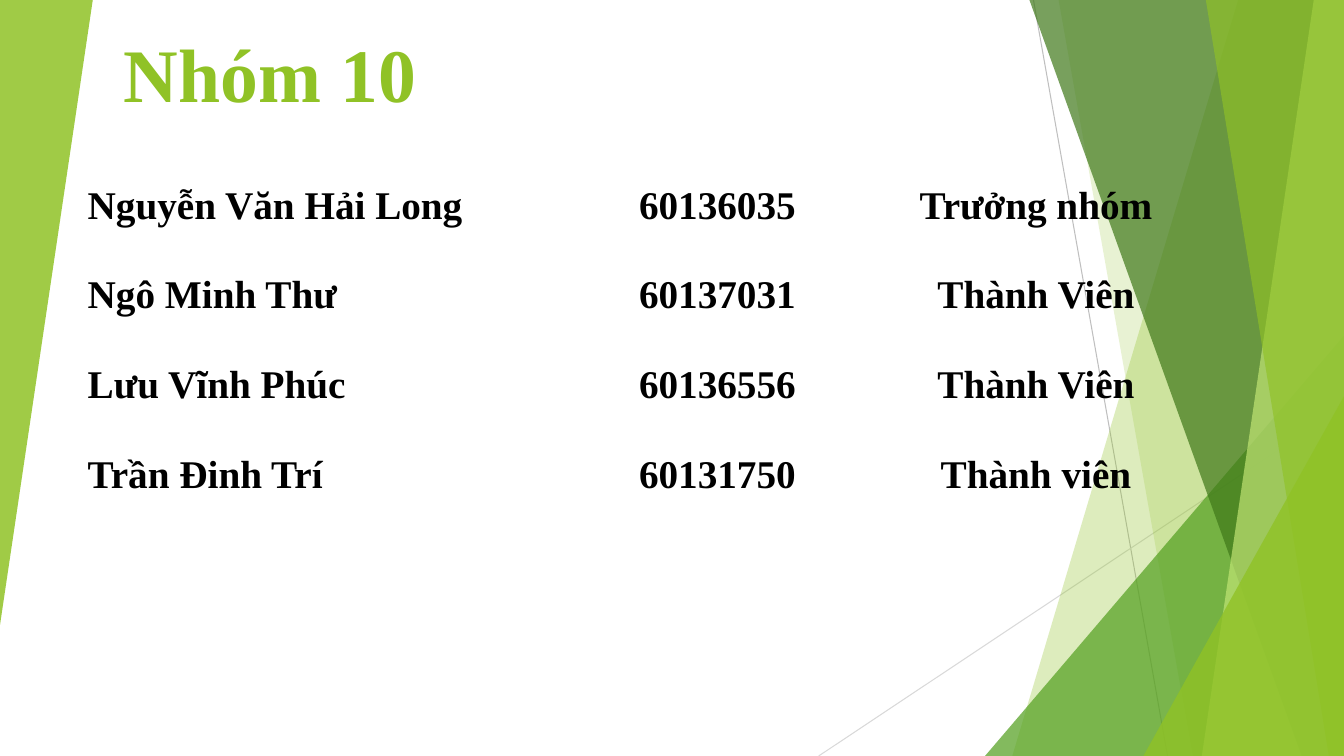
"""Build the group member slide with its green faceted backdrop."""
import dataclasses

import pptx
import pptx.dml.color
import pptx.enum.shapes
import pptx.enum.text
import pptx.oxml
import pptx.oxml.ns
import pptx.util

Inches = pptx.util.Inches
Pt = pptx.util.Pt
RGBColor = pptx.dml.color.RGBColor
ALIGN = pptx.enum.text.PP_ALIGN
ANCHOR = pptx.enum.text.MSO_ANCHOR


@dataclasses.dataclass(frozen=True)
class Theme:
    font: str = "Times New Roman"
    title_size: int = 54
    table_size: int = 28
    lime: str = "90C226"
    green: str = "54A021"
    forest: str = "3F7819"
    pale: str = "C0E474"
    text: str = "000000"
    steep_line: str = "BFBFBF"
    shallow_line: str = "D9D9D9"


def paint(shape, color, opacity):
    shape.shadow.inherit = False
    shape.line.fill.background()
    shape.fill.solid()
    shape.fill.fore_color.rgb = RGBColor.from_string(color)
    swatch = shape.fill._xPr.find(".//" + pptx.oxml.ns.qn("a:srgbClr"))
    alpha = pptx.oxml.parse_xml(f'<a:alpha {pptx.oxml.ns.nsdecls("a")} val="{opacity * 1000}"/>')
    swatch.append(alpha)


def style_text(para, size, color):
    for span in para.runs:
        span.font.name = theme.font
        span.font.size = Pt(size)
        span.font.bold = True
        span.font.color.rgb = RGBColor.from_string(color)


theme = Theme()
width, height = 13.33, 7.5
deck = pptx.Presentation()
deck.slide_width, deck.slide_height = Inches(width), Inches(height)
page = deck.slides.add_slide(deck.slide_layouts[6])

guides = [
    (10.25, 0, 11.58, height, theme.steep_line),
    (width, 4.03, 8.12, height, theme.shallow_line),
]
for x1, y1, x2, y2, color in guides:
    guide = page.shapes.add_connector(
        pptx.enum.shapes.MSO_CONNECTOR.STRAIGHT, Inches(x1), Inches(y1), Inches(x2), Inches(y2))
    guide.line.color.rgb = RGBColor.from_string(color)
    guide.line.width = Pt(0.75)
    guide._element.spPr.append(
        pptx.oxml.parse_xml(f'<a:effectLst {pptx.oxml.ns.nsdecls("a")}/>'))

facets = [
    ("band", (12.28, 10.04), theme.lime, 30),
    ("band", (10.5, 11.83), theme.lime, 20),
    ("triangle", (9.77, 3.33, 3.56, 4.17, 0), theme.green, 72),
    ("band", (10.21, 12.91), theme.forest, 70),
    ("band", (13.03, 11.92), theme.pale, 70),
    ("band", (11.96, 13.18), theme.lime, 65),
    ("triangle", (11.34, 3.93, 1.99, 3.57, 0), theme.lime, 80),
    ("triangle", (0, 0, 0.92, 6.2, 180), theme.lime, 85),
]
for kind, geometry, color, opacity in facets:
    if kind == "band":
        top_x, bottom_x = geometry
        outline = page.shapes.build_freeform(Inches(top_x), 0)
        corners = [(width, 0), (width, height), (bottom_x, height)]
        outline.add_line_segments([(Inches(x), Inches(y)) for x, y in corners], close=True)
        facet = outline.convert_to_shape()
    else:
        *frame, rotation = geometry
        facet = page.shapes.add_shape(
            pptx.enum.shapes.MSO_SHAPE.ISOSCELES_TRIANGLE, *map(Inches, frame))
        facet.adjustments[0] = 1
        facet.rotation = rotation
    paint(facet, color, opacity)

title = page.shapes.add_textbox(Inches(1.13), Inches(0.22), Inches(8.49), Inches(0.96))
title.text_frame.word_wrap = True
title.text_frame.text = "Nhóm 10"
style_text(title.text_frame.paragraphs[0], theme.title_size, theme.lime)

members = [
    ("Nguyễn Văn Hải Long", "60136035", "Trưởng nhóm"),
    ("Ngô Minh Thư", "60137031", "Thành Viên"),
    ("Lưu Vĩnh Phúc", "60136556", "Thành Viên"),
    ("Trần Đinh Trí", "60131750", "Thành viên"),
]
column_widths = [4.64, 3.35, 2.97]
alignments = [ALIGN.JUSTIFY, ALIGN.CENTER, ALIGN.CENTER]
row_height = 0.89
table = page.shapes.add_table(
    len(members), len(column_widths), Inches(0.8), Inches(1.49),
    Inches(sum(column_widths)), Inches(row_height * len(members))).table
table.first_row = table.horz_banding = False
style_id = table._tbl.tblPr.find(pptx.oxml.ns.qn("a:tableStyleId"))
style_id.text = "{2D5ABB26-0587-4C30-8999-92F81FD0307C}"
for column, column_width in zip(table.columns, column_widths):
    column.width = Inches(column_width)
for row, member in zip(table.rows, members):
    row.height = Inches(row_height)
    for cell, value, alignment in zip(row.cells, member, alignments):
        cell.fill.background()
        cell.vertical_anchor = ANCHOR.MIDDLE
        cell.margin_left = cell.margin_right = Inches(0.07)
        cell.margin_top = cell.margin_bottom = 0
        cell.text_frame.text = value
        para = cell.text_frame.paragraphs[0]
        para.alignment = alignment
        para.line_spacing = 1.5
        para.space_after = Pt(8)
        style_text(para, theme.table_size, theme.text)

deck.save("out.pptx")
